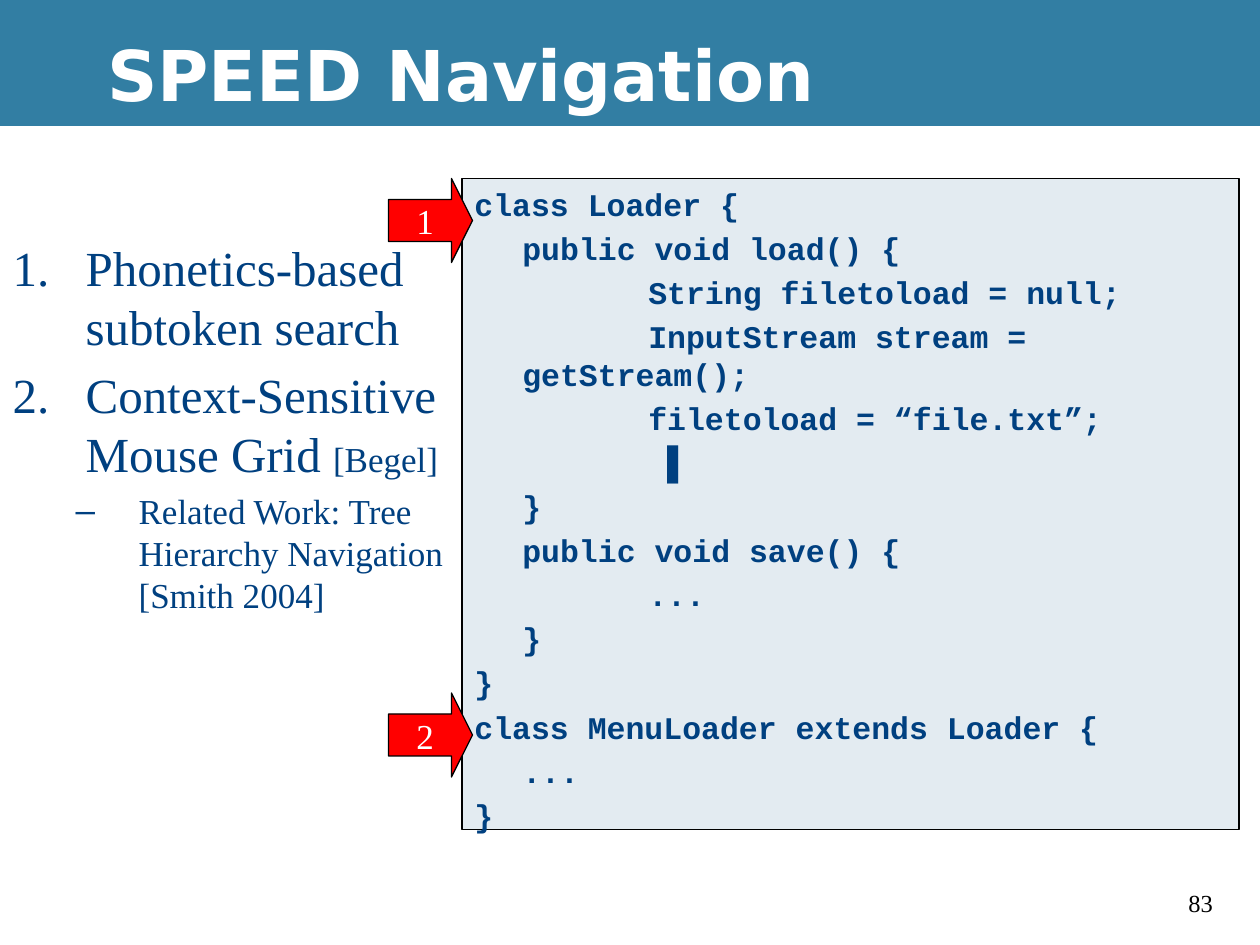
"""Build the SPEED Navigation slide: a numbered list beside annotated code."""
from lxml.etree import SubElement
from pptx import Presentation
from pptx.dml.color import RGBColor as Rgb
from pptx.enum.shapes import MSO_SHAPE as Preset
from pptx.enum.text import MSO_ANCHOR as Anchor, MSO_AUTO_SIZE as AutoSize, PP_ALIGN as Align
from pptx.oxml.ns import qn
from pptx.util import Inches, Pt

THEME = {
    "black": "000000", "white": "FFFFFF", "band": "327EA3",
    "ink": "004080", "panel": "E3EBF1", "marker": "FF0000",
    "title": {"name": "DejaVu Sans", "size": Pt(40), "bold": True},
    "item": {"name": "Times New Roman", "size": Pt(28)},
    "detail": {"name": "Times New Roman", "size": Pt(20)},
    "number": {"name": "Times New Roman", "size": Pt(14)},
    "code": {"name": "Courier New", "size": Pt(18), "bold": True},
    "caret": {"name": "Arial", "size": Pt(18), "bold": True},
}
UNIT = Inches(1) // 12
COLUMNS, ROWS = 120, 90
BAND_ROWS = 12
PANEL_COLUMN, PANEL_ROW = 44, 17
MARKER_SIZE = 8

CODE = [
    "class Loader {",
    "\tpublic void load() {",
    "\t\tString filetoload = null;",
    "\t\tInputStream stream = getStream();",
    "\t\tfiletoload = “file.txt”;",
    "\t\t |▌ \t\t",
    "\t}",
    "\tpublic void save() {",
    "\t\t...",
    "\t}",
    "}",
    "class MenuLoader extends Loader {",
    "\t...",
    "}",
]
CODE_LAYOUT = {"marL": Inches(0.38), "indent": -Inches(0.38), "defTabSz": Inches(1)}
POINTS = [
    (0, 0.58, 0.58, [("Phonetics-based subtoken search", "item")]),
    (0, 0.58, 0.58, [("Context-Sensitive Mouse Grid ", "item"), ("[Begel]", "detail")]),
    (1, 1, 0.5, [("Related Work: Tree Hierarchy Navigation [Smith 2004]", "detail")]),
]
BULLETS = [("a:buAutoNum", {"type": "arabicPeriod"}), ("a:buChar", {"char": "–"})]


def write(paragraph, text, style, color):
    run = paragraph.add_run()
    run.text = text
    for key, value in THEME[style].items():
        setattr(run.font, key, value)
    run.font.color.rgb = Rgb.from_string(THEME[color])


def block(preset, cells, fill, line=None):
    shape = slide.shapes.add_shape(preset, *(UNIT * cell for cell in cells))
    shape.shadow.inherit = False
    shape.fill.solid()
    shape.fill.fore_color.rgb = Rgb.from_string(THEME[fill])
    if line:
        shape.line.color.rgb = Rgb.from_string(THEME[line])
        shape.line.width = Pt(0.75)
    else:
        shape.line.fill.background()
    return shape


deck = Presentation()
deck.slide_width, deck.slide_height = UNIT * COLUMNS, UNIT * ROWS
slide = deck.slides.add_slide(deck.slide_layouts[1])
slide.background.fill.solid()
slide.background.fill.fore_color.rgb = Rgb.from_string(THEME["black"])
title, points = slide.placeholders

for cells, fill in [((0, BAND_ROWS, COLUMNS, ROWS - BAND_ROWS), "white"),
                    ((0, 0, COLUMNS, BAND_ROWS), "band")]:
    title.element.addprevious(block(Preset.RECTANGLE, cells, fill).element)

page_number = slide.shapes.add_textbox(UNIT * 112, UNIT * 84, UNIT * 6, UNIT * 4)
write(page_number.text_frame.paragraphs[0], "83", "number", "black")
title.element.addprevious(page_number.element)

for holder, cells, anchor in [(title, (9, 1, 111, 12), Anchor.MIDDLE),
                              (points, (0, 22, 46, 58), Anchor.TOP)]:
    for side, cell in zip(("left", "top", "width", "height"), cells):
        setattr(holder, side, UNIT * cell)
    for key, value in {"vertical_anchor": anchor, "auto_size": AutoSize.NONE,
                       "word_wrap": True}.items():
        setattr(holder.text_frame, key, value)

heading = title.text_frame.paragraphs[0]
heading.alignment = Align.LEFT
write(heading, "SPEED Navigation", "title", "white")

for index, (level, margin, hanging, pieces) in enumerate(POINTS):
    frame = points.text_frame
    point = frame.add_paragraph() if index else frame.paragraphs[0]
    point.level = level
    layout = point._p.get_or_add_pPr()
    layout.set("marL", str(Inches(margin)))
    layout.set("indent", str(-Inches(hanging)))
    tag, values = BULLETS[level]
    SubElement(layout, qn(tag), values)
    for text, style in pieces:
        write(point, text, style, "ink")

panel = block(Preset.RECTANGLE, (PANEL_COLUMN, PANEL_ROW, 74, 62), "panel", "black")
panel.text_frame.vertical_anchor = Anchor.TOP
panel.text_frame.word_wrap = True
for index, source in enumerate(CODE):
    frame = panel.text_frame
    line = frame.add_paragraph() if index else frame.paragraphs[0]
    line.alignment = Align.LEFT
    layout = line._p.get_or_add_pPr()
    for key, value in CODE_LAYOUT.items():
        layout.set(key, str(value))
    spacing = SubElement(layout, qn("a:spcBef"))
    SubElement(spacing, qn("a:spcPct"), val="20000")
    for text, style in zip(source.split("|"), ("code", "caret")):
        write(line, text, style, "ink")

for label, row in [("1", PANEL_ROW), ("2", 66)]:
    marker = block(Preset.RIGHT_ARROW, (PANEL_COLUMN - MARKER_SIZE + 1, row, MARKER_SIZE, MARKER_SIZE),
                   "marker", "black")
    marker.adjustments[0], marker.adjustments[1] = 0.5, 0.25
    marker.text_frame.vertical_anchor = Anchor.MIDDLE
    marker.text_frame.word_wrap = False
    marker.text_frame.paragraphs[0].alignment = Align.CENTER
    write(marker.text_frame.paragraphs[0], label, "detail", "white")

deck.save("out.pptx")
